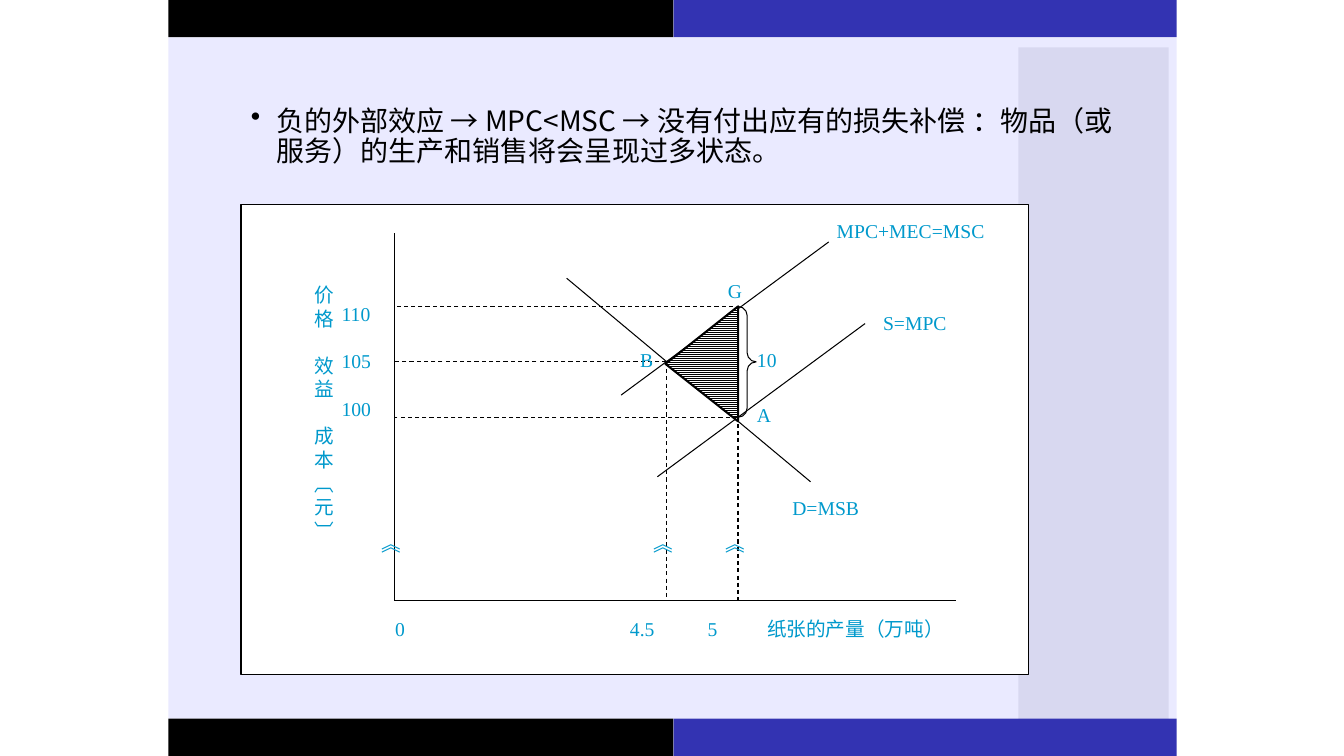
from lxml.etree import SubElement
from pptx import Presentation
from pptx.dml.color import RGBColor
from pptx.enum.dml import MSO_LINE, MSO_PATTERN
from pptx.enum.shapes import MSO_CONNECTOR, MSO_SHAPE
from pptx.oxml.ns import qn
from pptx.util import Inches, Pt

BLACK, WHITE, BLUE, TEAL = "000000", "FFFFFF", "3333B2", "0099CC"
SERIF, SANS = "Times New Roman", "Noto Sans CJK SC"
LEFT, BASE = 3.91, 5.96  # origin of the axes


def paint(color, code):
    """Set a colour format from a hex string."""
    color.rgb = RGBColor.from_string(code)


def shape(slide, kind, box, fill=None, width=0):
    """Add a preset shape; a width of zero means no outline."""
    item = slide.shapes.add_shape(kind, *map(Inches, box))
    item.shadow.inherit = False
    if fill:
        item.fill.solid()
        paint(item.fill.fore_color, fill)
    else:
        item.fill.background()
    if width:
        paint(item.line.color, BLACK)
        item.line.width = Pt(width)
    else:
        item.line.fill.background()
    return item


def line(slide, start, end, dash=False):
    """Add a thin straight line, dashed for guides."""
    ends = map(Inches, (*start, *end))
    item = slide.shapes.add_connector(MSO_CONNECTOR.STRAIGHT, *ends)
    SubElement(item._element.spPr, qn("a:effectLst"))
    paint(item.line.color, BLACK)
    item.line.width = Pt(0.75)
    if dash:
        item.line.dash_style = MSO_LINE.DASH


def text(slide, box, words, size=14, pitch=16.8, font=SERIF, color=TEAL,
         gap=0):
    """Add a text box with one paragraph per line of words."""
    frame = slide.shapes.add_textbox(*map(Inches, box)).text_frame
    frame.word_wrap = True
    frame.text = words
    for index, para in enumerate(frame.paragraphs):
        para.line_spacing = Pt(pitch)
        para.space_before = Pt(gap if index else 0)
        para.font.size = Pt(size)
        para.font.name = font
        paint(para.font.color, color)
        for run in para.runs:
            SubElement(run._r.get_or_add_rPr(), qn("a:ea"), typeface=SANS)
    return frame


def bullet(para, indent):
    """Give a paragraph a round bullet with a hanging indent."""
    props = para._p.get_or_add_pPr()
    props.set("marL", str(Inches(indent)))
    props.set("indent", str(-Inches(indent)))
    mark = SubElement(props, qn("a:buChar"), char="•")
    props.remove(mark)
    props.insert_element_before(mark, "a:tabLst", "a:defRPr", "a:extLst")


def frame(slide):
    """Draw the page panel, the side band and the edge bars."""
    rect = MSO_SHAPE.RECTANGLE
    shape(slide, rect, (1.67, 0.37, 10, 6.76), "EAEAFF")
    shape(slide, rect, (10.1, 0.47, 1.49, 6.74), "D8D8F0")
    for top in (0, 7.13):
        shape(slide, rect, (1.67, top, 5.01, 0.37), BLACK)
        shape(slide, rect, (6.68, top, 4.99, 0.37), BLUE)


def curves(slide):
    """Draw the axes, the three curves and the dashed guides."""
    line(slide, (LEFT, BASE), (9.48, BASE))
    line(slide, (LEFT, BASE), (LEFT, 2.31))
    line(slide, (5.62, 2.76), (8.04, 4.78))
    line(slide, (6.16, 3.92), (8.22, 2.4))
    line(slide, (6.52, 4.73), (8.58, 3.21))
    for step, right in enumerate((7.27, 6.61, 7.31)):
        level = 3.04 + 0.55 * step
        line(slide, (right, level), (LEFT, level), True)
    for across, top in ((6.61, 3.59), (7.32, 3.13)):
        line(slide, (across, top), (across, BASE), True)


def loss(slide):
    """Draw the hatched welfare loss and its brace."""
    wedge = shape(slide, MSO_SHAPE.ISOSCELES_TRIANGLE,
                  (6.39, 3.25, 1.14, 0.72), WHITE, 1.5)
    wedge.rotation = 270
    wedge.fill.patterned()
    wedge.fill.pattern = MSO_PATTERN.LIGHT_HORIZONTAL
    paint(wedge.fill.fore_color, BLACK)
    paint(wedge.fill.back_color, WHITE)
    brace = shape(slide, MSO_SHAPE.RIGHT_BRACE,
                  (7.32, 3.04, 0.18, 1.1), width=0.75)
    brace.adjustments[0] = 0.5


def labels(slide):
    """Write the axis, curve and point labels."""
    text(slide, (3.02, 2.76, 0.45, 2.69), "价格\n效益\n成本︹元︺", gap=16.8)
    text(slide, (3.29, 2.95, 0.64, 1.28), "110\n105\n100", gap=16.8)
    for words, left, top, width in (
            ("MPC+MEC=MSC", 8.2, 2.12, 1.75), ("S=MPC", 8.66, 3.04, 0.95),
            ("D=MSB", 7.76, 4.87, 0.95), ("G", 7.12, 2.72, 0.4),
            ("A", 7.41, 3.95, 0.4), ("B", 6.25, 3.4, 0.4),
            ("10", 7.41, 3.4, 0.5), ("0", 3.82, 6.07, 0.4),
            ("4.5", 6.15, 6.07, 0.6), ("5", 6.92, 6.07, 0.4),
            ("纸张的产量（万吨）", 7.51, 6.07, 2.3)):
        text(slide, (left, top, width, 0.34), words)
    for left in (3.69, 6.38, 7.1):
        text(slide, (left, 5.23, 0.4, 0.34), "︽")


def main():
    """Build the slide and save it."""
    deck = Presentation()
    deck.slide_width, deck.slide_height = Inches(13.33), Inches(7.5)
    slide = deck.slides.add_slide(deck.slide_layouts[6])
    frame(slide)
    body = text(slide, (2.39, 1.01, 8.79, 0.9),
                "负的外部效应 → MPC<MSC → 没有付出应有的损失补偿 ："
                "物品（或服务）的生产和销售将会呈现过多状态。",
                20, 21.4, SANS, BLACK)
    bullet(body.paragraphs[0], 0.25)
    shape(slide, MSO_SHAPE.RECTANGLE, (2.39, 2.03, 7.81, 4.66), WHITE, 0.75)
    curves(slide)
    loss(slide)
    labels(slide)
    deck.save("out.pptx")


main()
